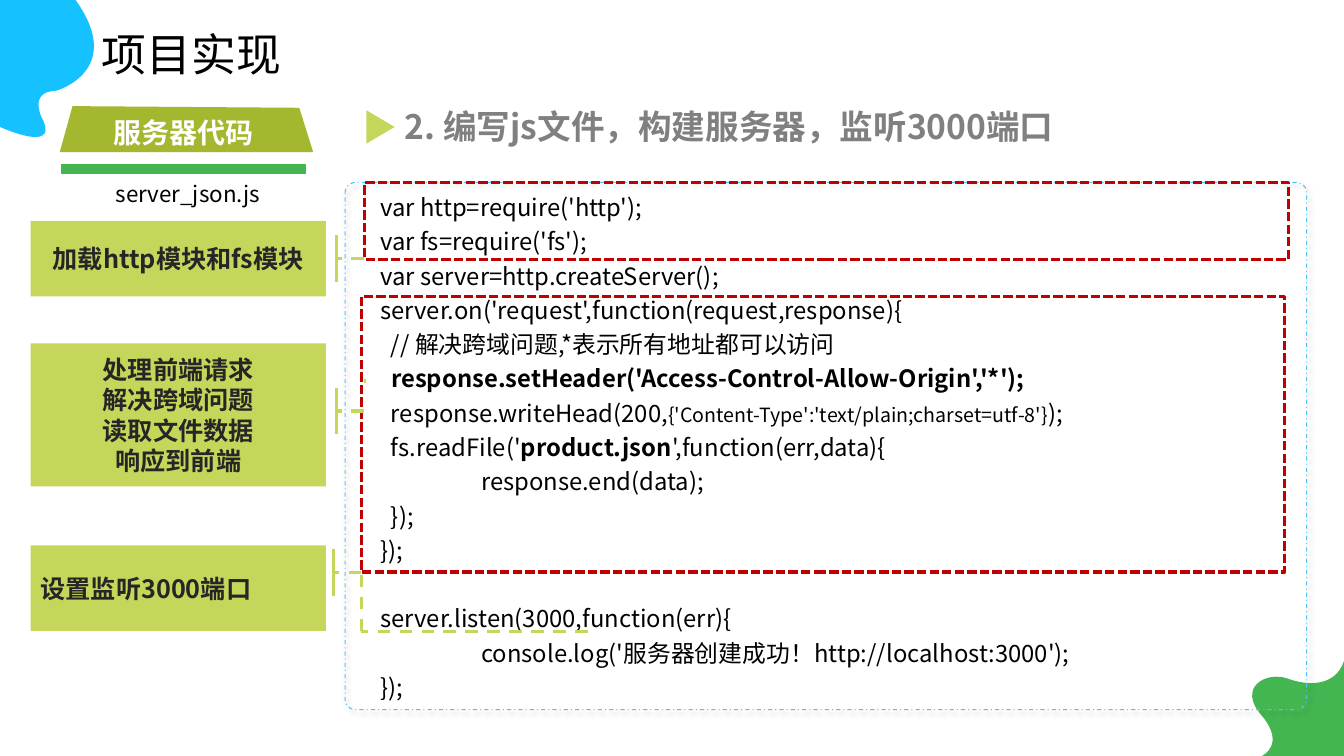
from lxml.etree import SubElement
from pptx import Presentation
from pptx.dml.color import RGBColor
from pptx.enum.dml import MSO_LINE
from pptx.enum.shapes import MSO_CONNECTOR, MSO_SHAPE
from pptx.enum.text import MSO_ANCHOR, MSO_AUTO_SIZE, PP_ALIGN
from pptx.oxml.ns import qn
from pptx.util import Pt

FONT = "Noto Sans CJK SC"
LIME, GREEN, OLIVE, SKY = "C6D65B", "43B651", "A5B72E", "15C2FF"
RED, BLACK, DARK, GREY, WHITE = "C00000", "000000", "262626", "808080", "FFFFFF"

TITLE = "项目实现"
STEP = "2. 编写js文件，构建服务器，监听3000端口"
TAG = "服务器代码"
FILE_NAME = "server_json.js"
CODE_SIZE, CODE_PITCH, CODE_TAB = 17, 24.4, 72
CODE = [
    ["var http=require('http');"],
    ["var fs=require('fs');"],
    ["var server=http.createServer();"],
    ["server.on('request',function(request,response){"],
    ["  // 解决跨域问题,*表示所有地址都可以访问"],
    [("  response.setHeader('Access-Control-Allow-Origin','*');", CODE_SIZE, True)],
    ["  response.writeHead(200,",
     ("{'Content-Type':'text/plain;charset=utf-8'}", 14, False), ");"],
    ["  fs.readFile('", ("product.json", CODE_SIZE, True), "',function(err,data){"],
    ["\tresponse.end(data);"],
    ["  });"],
    ["});"],
    ["server.listen(3000,function(err){"],
    ["\tconsole.log('服务器创建成功！http://localhost:3000');"],
    ["});"],
]
LISTEN_LINE = 11

NOTES = [
    (157.7, 54, PP_ALIGN.CENTER, ["加载http模块和fs模块"]),
    (245.3, 102.2, PP_ALIGN.CENTER,
     ["处理前端请求", "解决跨域问题", "读取文件数据", "响应到前端"]),
    (389.5, 61.2, PP_ALIGN.LEFT, ["设置监听3000端口"]),
]
BRACKETS = [
    (240.1, 184.5, [(260, 184.5)]),
    (240.1, 293.6, [(260, 293.6)]),
    (238.3, 409, [(258.1, 409), (258.1, 451), (419.8, 451)]),
]
BRACKET_HALF = 16.7
TICKS = [162.7, 272.2]
CODE_FRAMES = [(260.6, 130.3, 660, 54.9), (258.1, 211.5, 659.5, 197.1)]

BLUE_BLOB = [(0, 90.7),
             [(0, 90.7), (41, 109.4), (31, 86.4)],
             [(31, 86.4), (18.7, 65.5), (40.3, 64.8)],
             [(40.3, 64.8), (90, 50.4), (54, 0)],
             [(0, 0), (0, 0), (0, 0)],
             [(0, 90.7)]]
GREEN_BLOB = [(901.4, 540),
              [(901.4, 540), (918.7, 532.1), (901.4, 511.2)],
              [(883.4, 491), (904.3, 479.5), (919.4, 484.6)],
              [(934.6, 490.3), (954, 490.3), (960, 472.3)],
              [(960, 540), (960, 540), (960, 540)],
              [(901.4, 540)]]
TAG_SHAPE = [(51.8, 75.8), [(213.8, 77)], [(223.7, 108.6)], [(42.7, 108.6)], [(51.8, 75.8)]]


def color(code):
    return RGBColor.from_string(code)


def add_run(paragraph, words, size, shade, bold=False):
    run = paragraph.add_run()
    run.text = words
    run.font.size, run.font.bold, run.font.name = Pt(size), bold, FONT
    run.font.color.rgb = color(shade)
    SubElement(run._r.get_or_add_rPr(), qn("a:ea"), typeface=FONT)


def paint(shape, fill=None, line=None, weight=1, dash=None):
    shape.shadow.inherit = False
    if fill:
        shape.fill.solid()
        shape.fill.fore_color.rgb = color(fill)
    else:
        shape.fill.background()
    if line:
        shape.line.color.rgb = color(line)
        shape.line.width = Pt(weight)
        shape.line.dash_style = dash
    else:
        shape.line.fill.background()


def add_box(kind, box, **style):
    shape = slide.shapes.add_shape(kind, *map(Pt, box))
    paint(shape, **style)
    return shape


def add_label(box, words, size, shade, bold=False, wrap=True):
    frame = slide.shapes.add_textbox(*map(Pt, box)).text_frame
    frame.word_wrap = wrap
    add_run(frame.paragraphs[0], words, size, shade, bold)


def add_line(start, end, dash=MSO_LINE.DASH):
    line = slide.shapes.add_connector(MSO_CONNECTOR.STRAIGHT, *map(Pt, start + end))
    line.line.color.rgb = color(LIME)
    line.line.width = Pt(2.25)
    line.line.dash_style = dash
    SubElement(line._element.spPr, qn("a:effectLst"))


def add_outline(outline, fill):
    start, *segments = outline
    builder = slide.shapes.build_freeform(*map(Pt, start))
    builder.add_line_segments([(Pt(x), Pt(y)) for segment in segments for x, y in segment])
    shape = builder.convert_to_shape()
    paint(shape, fill=fill)
    sides = iter(list(shape._element.iter(qn("a:lnTo"))))
    for segment in segments:
        first, *others = [next(sides) for _ in segment]
        if others:
            first.tag = qn("a:cubicBezTo")
        for side in others:
            first.append(side[0])
            side.getparent().remove(side)


deck = Presentation()
deck.slide_width, deck.slide_height = Pt(960), Pt(540)
slide = deck.slides.add_slide(deck.slide_layouts[5])

title = slide.shapes.title
title.left, title.top, title.width, title.height = map(Pt, (65.5, 15.1, 142.6, 46))
title.text_frame.word_wrap = False
title.text_frame.auto_size = MSO_AUTO_SIZE.NONE
title.text_frame.vertical_anchor = MSO_ANCHOR.MIDDLE
title.text_frame.paragraphs[0].alignment = PP_ALIGN.LEFT
add_run(title.text_frame.paragraphs[0], TITLE, 32, BLACK)

add_outline(BLUE_BLOB, SKY)
add_outline(GREEN_BLOB, GREEN)

panel = add_box(MSO_SHAPE.ROUNDED_RECTANGLE, (246.5, 130.3, 686.9, 376.6),
                line="4CC5F0", weight=0.75, dash=MSO_LINE.DASH_DOT)
panel.adjustments[0] = 0.02
effects = panel._element.spPr.find(qn("a:effectLst"))
shadow = SubElement(effects, qn("a:outerShdw"), blurRad=str(Pt(4)), dist=str(Pt(3)),
                    dir="2700000", algn="tl", rotWithShape="0")
shade = SubElement(shadow, qn("a:srgbClr"), val=BLACK)
SubElement(shade, qn("a:alpha"), val="40000")

code = slide.shapes.add_textbox(*map(Pt, (264.6, 130, 679.7, 377.3))).text_frame
code.word_wrap = True
for number, parts in enumerate(CODE):
    paragraph = code.add_paragraph() if number else code.paragraphs[0]
    paragraph.line_spacing = 1.2
    if number == LISTEN_LINE:
        paragraph.space_before = Pt(CODE_PITCH)
    tabs = SubElement(paragraph._p.get_or_add_pPr(), qn("a:tabLst"))
    SubElement(tabs, qn("a:tab"), pos=str(Pt(CODE_TAB)), algn="l")
    for part in parts:
        words, size, bold = (part, CODE_SIZE, False) if isinstance(part, str) else part
        add_run(paragraph, words, size, BLACK, bold)

for y in TICKS:
    add_line((261.4, y), (260, y))
for frame in CODE_FRAMES:
    add_box(MSO_SHAPE.RECTANGLE, frame, line=RED, weight=2.25, dash=MSO_LINE.SQUARE_DOT)

for top, height, alignment, lines in NOTES:
    note = add_box(MSO_SHAPE.RECTANGLE, (21.9, top, 210.8, height), fill=LIME).text_frame
    note.word_wrap = True
    note.vertical_anchor = MSO_ANCHOR.MIDDLE
    for number, words in enumerate(lines):
        paragraph = note.add_paragraph() if number else note.paragraphs[0]
        paragraph.alignment = alignment
        add_run(paragraph, words, 18, DARK, True)

for x, y, stops in BRACKETS:
    add_line((x, y - BRACKET_HALF), (x, y + BRACKET_HALF), MSO_LINE.SOLID)
    for start, end in zip([(x, y)] + stops, stops):
        add_line(end, start)

add_label((282.2, 72, 558, 36), STEP, 24, GREY, True)
pointer = add_box(MSO_SHAPE.ISOSCELES_TRIANGLE, (259.9, 80.6, 23.8, 20.2), fill=LIME)
pointer.rotation = 90
add_label((75.6, 125, 130.3, 26.6), FILE_NAME, 16, BLACK)
add_box(MSO_SHAPE.RECTANGLE, (44, 117.4, 174.4, 6.5), fill=GREEN, line=GREEN)
add_outline(TAG_SHAPE, OLIVE)
add_label((73.8, 79.2, 114.5, 31.7), TAG, 20, WHITE, True, wrap=False)

deck.save("out.pptx")
